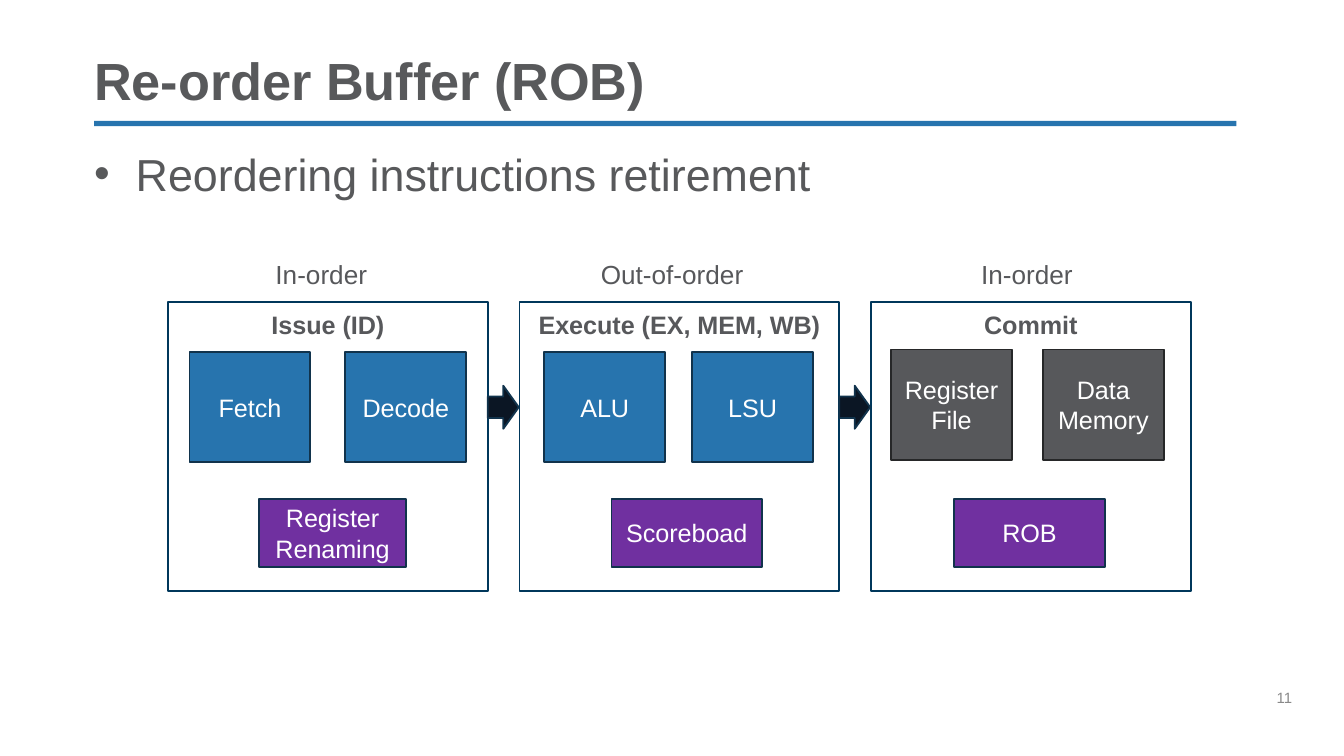
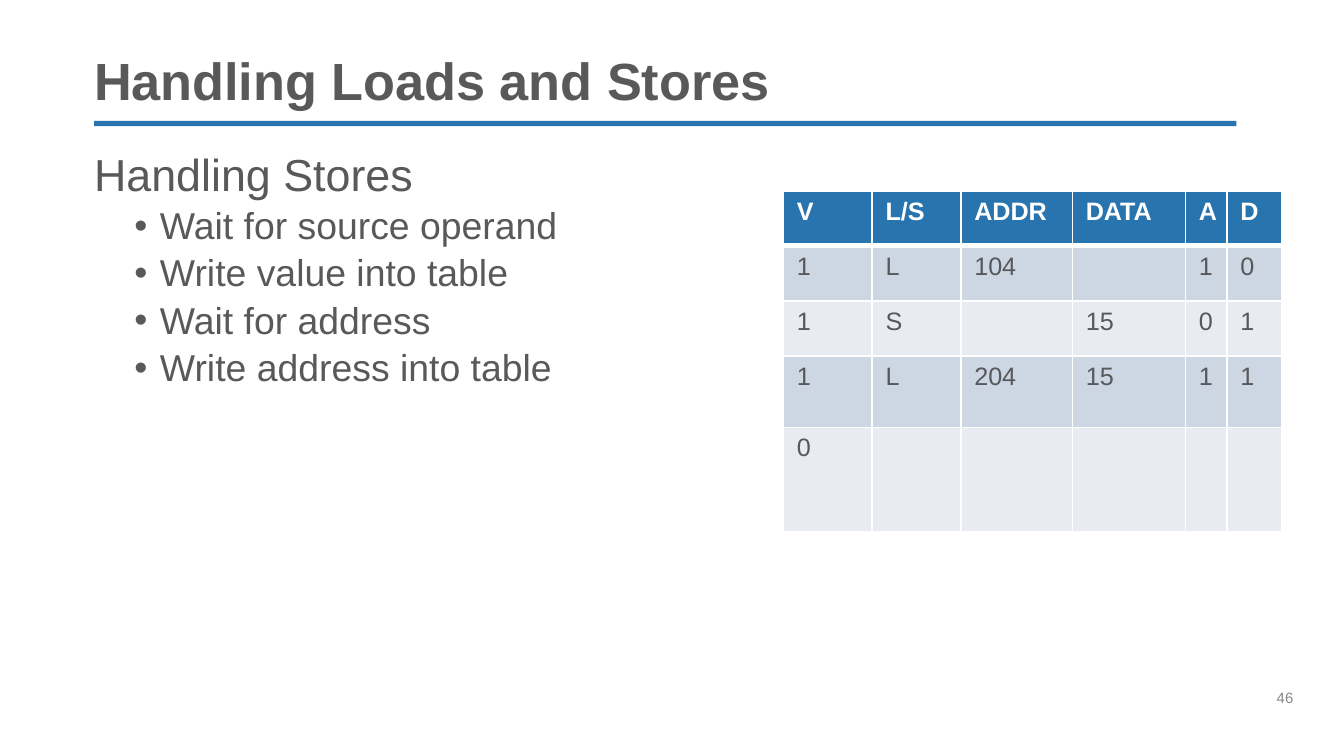
"""Builds two processor slides: a re-order buffer diagram and a load/store table."""
from dataclasses import dataclass
from typing import Any

from lxml.etree import SubElement
from pptx import Presentation
from pptx.dml.color import RGBColor
from pptx.enum.shapes import MSO_SHAPE as SHAPE
from pptx.enum.text import MSO_ANCHOR as ANCHOR, MSO_AUTO_SIZE as AUTO, PP_ALIGN as ALIGN
from pptx.oxml.ns import qn
from pptx.util import Emu, Pt

PX_PER_INCH = 200
FONT = "Arial"
WHITE = RGBColor(0xFF, 0xFF, 0xFF)
TEXT = RGBColor(0x58, 0x59, 0x5B)
GREY = RGBColor(0x57, 0x58, 0x5B)
PAGE_GREY = RGBColor(0x89, 0x89, 0x89)
BLUE = RGBColor(0x27, 0x74, 0xAE)
NAVY = RGBColor(0x00, 0x37, 0x5B)
EDGE = RGBColor(0x11, 0x33, 0x4C)
DARK_EDGE = RGBColor(0x26, 0x27, 0x28)
ARROW = RGBColor(0x0B, 0x16, 0x24)
PURPLE = RGBColor(0x70, 0x30, 0xA0)
BANDS = (RGBColor(0xE8, 0xEB, 0xF2), RGBColor(0xCD, 0xD6, 0xE3))

NO_INSETS = {"margin_left": 0, "margin_top": 0, "margin_right": 0, "margin_bottom": 0}
PLAIN_FRAME = {**NO_INSETS, "word_wrap": True, "auto_size": AUTO.SHAPE_TO_FIT_TEXT}


@dataclass(frozen=True)
class Box:
    left: int
    top: int
    width: int
    height: int

    def emu(self) -> tuple[Emu, ...]:
        return tuple(px(n) for n in (self.left, self.top, self.width, self.height))


@dataclass(frozen=True)
class Para:
    text: str
    size: float
    color: RGBColor = TEXT
    bold: bool = False
    align: ALIGN = ALIGN.LEFT
    level: int = 0
    margin: int = 0
    hang: int = 0
    before: float = 0
    spacing: float = 1.0


@dataclass(frozen=True)
class Stage:
    order: str
    order_left: int
    order_width: int
    name: str
    units: tuple[str, str]
    unit_left: int
    unit_pitch: int
    unit_top: int
    unit_fill: RGBColor
    unit_edge: RGBColor
    extra: tuple[str, ...]
    extra_left: int
    extra_width: int


PANEL = Box(250, 450, 476, 430)
PANEL_PITCH = 523
STAGES = (
    Stage("In-order", 410, 206, "Issue (ID)", ("Fetch", "Decode"), 282, 232, 524,
          BLUE, EDGE, ("Register", "Renaming"), 386, 218),
    Stage("Out-of-order", 894, 236, "Execute (EX, MEM, WB)", ("ALU", "LSU"), 810, 220, 524,
          BLUE, EDGE, ("Scoreboad",), 910, 224),
    Stage("In-order", 1460, 206, "Commit", ("Register File", "Data Memory"), 1326, 226, 520,
          GREY, DARK_EDGE, ("ROB",), 1420, 224),
)
STORE_STEPS = ("Wait for source operand", "Write value into table",
               "Wait for address", "Write address into table")
COLUMNS = (132, 132, 166, 168, 62, 82)
ROW_HEIGHTS = (82, 82, 82, 106, 156)
QUEUE = (
    ("V", "L/S", "ADDR", "DATA", "A", "D"),
    ("1", "L", "104", "", "1", "0"),
    ("1", "S", "", "15", "0", "1"),
    ("1", "L", "204", "15", "1", "1"),
    ("0", "", "", "", "", ""),
)


def px(n: int) -> Emu:
    return Emu(n * 914400 // PX_PER_INCH)


def assign(obj: Any, values: dict[str, Any]) -> None:
    for name, value in values.items():
        setattr(obj, name, value)


def write(tf: Any, paras: list[Para]) -> None:
    for i, para in enumerate(paras):
        p = tf.add_paragraph() if i else tf.paragraphs[0]
        if para.hang:
            pPr = p._p.get_or_add_pPr()
            pPr.set("marL", str(px(para.margin)))
            pPr.set("indent", str(-px(para.hang)))
            SubElement(pPr, qn("a:buFont"), typeface=FONT)
            SubElement(pPr, qn("a:buChar"), char="•")
        assign(p, {"alignment": para.align, "level": para.level,
                   "line_spacing": para.spacing, "space_before": Pt(para.before)})
        r = p.add_run()
        r.text = para.text
        assign(r.font, {"name": FONT, "size": Pt(para.size), "bold": para.bold})
        r.font.color.rgb = para.color


def add_text(s: Any, box: Box, paras: list[Para], bottom: int = 0) -> None:
    tf = s.shapes.add_textbox(*box.emu()).text_frame
    assign(tf, {**PLAIN_FRAME, "margin_bottom": px(bottom)})
    write(tf, paras)


def add_block(s: Any, box: Box, fill: RGBColor, edge: RGBColor | None = None,
              paras: list[Para] | None = None, anchor: ANCHOR = ANCHOR.MIDDLE,
              kind: SHAPE = SHAPE.RECTANGLE) -> None:
    sp = s.shapes.add_shape(kind, *box.emu())
    sp.shadow.inherit = False
    sp.fill.solid()
    sp.fill.fore_color.rgb = fill
    if edge is None:
        sp.line.fill.background()
    else:
        sp.line.color.rgb = edge
        sp.line.width = Pt(1)
    if paras:
        assign(sp.text_frame, {"word_wrap": True, "vertical_anchor": anchor})
        write(sp.text_frame, paras)


def centred(text: str, color: RGBColor = WHITE, bold: bool = False) -> Para:
    return Para(text, 13.5, color, bold, ALIGN.CENTER)


def add_slide(prs: Any, title: str, number: int) -> Any:
    s = prs.slides.add_slide(prs.slide_layouts[5])
    sp = s.shapes.title
    left, top, width, height = Box(140, 80, 1700, 86).emu()
    assign(sp, {"left": left, "top": top, "width": width, "height": height})
    assign(sp.text_frame, {**PLAIN_FRAME, "vertical_anchor": ANCHOR.BOTTOM})
    write(sp.text_frame, [Para(title, 28, bold=True, spacing=0.9)])
    add_block(s, Box(140, 180, 1700, 8), BLUE)
    add_text(s, Box(1900, 1040, 100, 80), [Para(str(number), 8, PAGE_GREY)], bottom=56)
    return s


def add_stage(s: Any, index: int, stage: Stage) -> None:
    left = PANEL.left + index * PANEL_PITCH
    add_block(s, Box(left, PANEL.top, PANEL.width, PANEL.height), WHITE, NAVY,
              [centred(stage.name, GREY, True)], ANCHOR.TOP)
    add_text(s, Box(stage.order_left, 384, stage.order_width, 48),
             [Para(stage.order, 14, GREY)])
    for i, unit in enumerate(stage.units):
        box = Box(stage.unit_left + i * stage.unit_pitch, stage.unit_top, 180, 164)
        add_block(s, box, stage.unit_fill, stage.unit_edge, [centred(unit)])
    add_block(s, Box(stage.extra_left, 742, stage.extra_width, 102), PURPLE, EDGE,
              [centred(line) for line in stage.extra])


def add_borders(cell: Any, top: int, bottom: int) -> None:
    tcPr = cell._tc.get_or_add_tcPr()
    for side, width in (("L", 1), ("R", 1), ("T", top), ("B", bottom)):
        ln = SubElement(tcPr, qn(f"a:ln{side}"), w=str(Pt(width)))
        SubElement(SubElement(ln, qn("a:solidFill")), qn("a:srgbClr"), val=str(WHITE))


def add_queue(s: Any, left: int, top: int) -> None:
    box = Box(left, top, sum(COLUMNS), sum(ROW_HEIGHTS))
    table = s.shapes.add_table(len(QUEUE), len(COLUMNS), *box.emu()).table
    for column, width in zip(table.columns, COLUMNS):
        column.width = px(width)
    for i, (row, height) in enumerate(zip(table.rows, ROW_HEIGHTS)):
        row.height = px(height)
        head = i == 0
        for cell, text in zip(row.cells, QUEUE[i]):
            add_borders(cell, 3 if i == 1 else 1, 3 if head else 1)
            cell.fill.solid()
            cell.fill.fore_color.rgb = BLUE if head else BANDS[i % 2]
            if text:
                write(cell.text_frame, [Para(text, 13.5, WHITE if head else GREY, head)])


def build_rob(prs: Any) -> None:
    s = add_slide(prs, "Re-order Buffer (ROB)", 11)
    add_text(s, Box(140, 218, 1860, 164),
             [Para("Reordering instructions retirement", 24, margin=62, hang=62)])
    for i, stage in enumerate(STAGES):
        add_stage(s, i, stage)
    for i in range(len(STAGES) - 1):
        left = PANEL.left + PANEL.width + i * PANEL_PITCH
        add_block(s, Box(left, 574, 46, 64), ARROW, EDGE, kind=SHAPE.RIGHT_ARROW)


def build_stores(prs: Any) -> None:
    s = add_slide(prs, "Handling Loads and Stores", 46)
    steps = [Para(step, 20, level=1, margin=98, hang=38, before=3.8, spacing=0.9)
             for step in STORE_STEPS]
    add_text(s, Box(140, 218, 1700, 368), [Para("Handling Stores", 24), *steps])
    add_queue(s, 1166, 284)


def main() -> None:
    prs = Presentation()
    assign(prs, {"slide_width": px(2000), "slide_height": px(1125)})
    build_rob(prs)
    build_stores(prs)
    prs.save("out.pptx")


if __name__ == "__main__":
    main()
